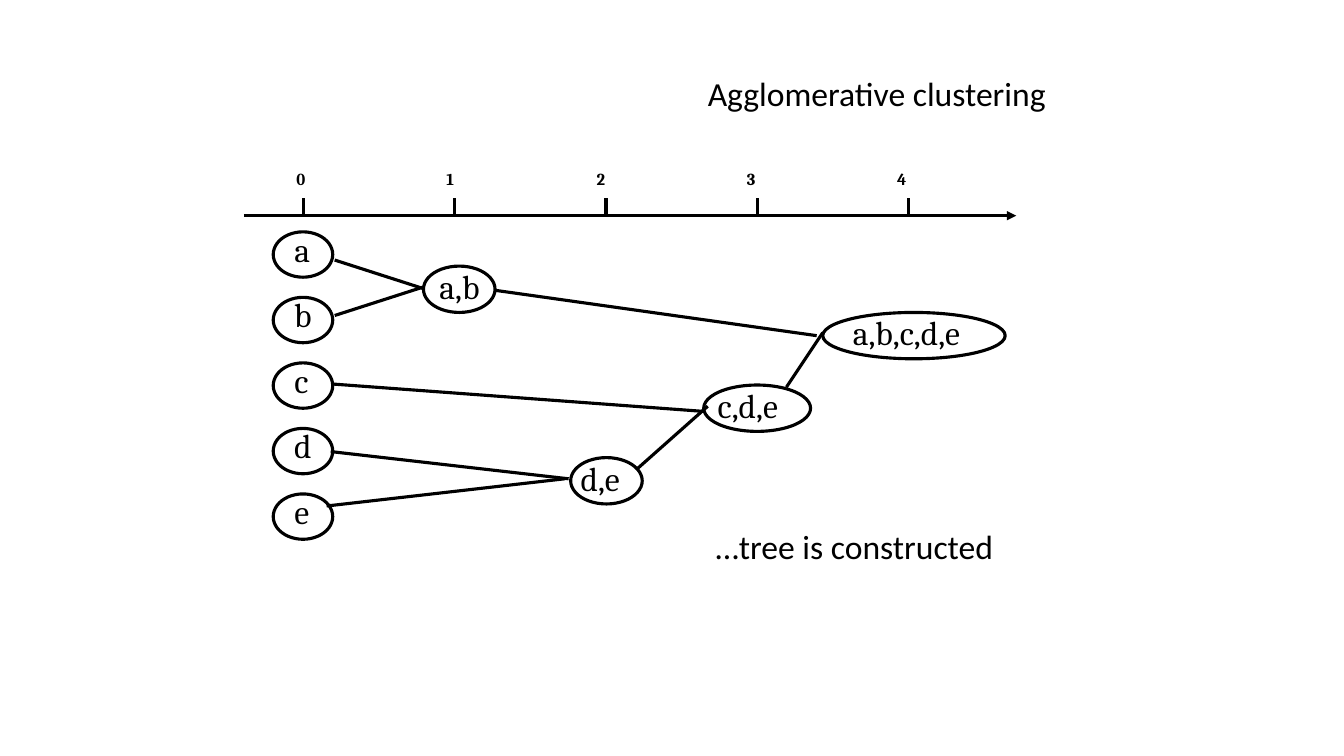
import pptx
import pptx.dml.color
import pptx.enum.shapes
import pptx.enum.text
import pptx.oxml.ns
import pptx.oxml.xmlchemy
import pptx.util
from dataclasses import dataclass


@dataclass(frozen=True)
class Theme:
    ink: pptx.dml.color.RGBColor = pptx.dml.color.RGBColor(0, 0, 0)
    tree_font: str = "Cambria"
    caption_font: str = "Calibri"
    text_size: int = 24
    step_size: int = 12
    line_width: float = 2.25


theme = Theme()
inch = pptx.util.Inches

deck = pptx.Presentation()
deck.slide_width, deck.slide_height = inch(13.33), inch(7.5)
slide = deck.slides.add_slide(deck.slide_layouts[5])  # Title Only


def write(holder, words, font, size, bold=False, wrap=False):
    frame = holder.text_frame
    frame.text = words
    frame.word_wrap = wrap
    frame.auto_size = pptx.enum.text.MSO_AUTO_SIZE.SHAPE_TO_FIT_TEXT
    frame.vertical_anchor = pptx.enum.text.MSO_ANCHOR.TOP
    paragraph = frame.paragraphs[0]
    paragraph.alignment = pptx.enum.text.PP_ALIGN.LEFT
    paragraph.font.name = font
    paragraph.font.size = pptx.util.Pt(size)
    paragraph.font.bold = bold
    paragraph.font.color.rgb = theme.ink


def draw_line(x1, y1, x2, y2):
    line = slide.shapes.add_connector(
        pptx.enum.shapes.MSO_CONNECTOR.STRAIGHT, inch(x1), inch(y1), inch(x2), inch(y2))
    line.line.color.rgb = theme.ink
    line.line.width = pptx.util.Pt(theme.line_width)
    line._element.spPr.append(pptx.oxml.xmlchemy.OxmlElement("a:effectLst"))
    return line


# Clusters: members, left, top, width, height, label left, label top, label width, wrap
leaf_top, leaf_gap = 2.3, 0.65
level_top, level_gap = 3.1, 0.72
clusters = [
    (name, 2.71, leaf_top + row * leaf_gap, 0.59, 0.45, 2.82,
     leaf_top + row * leaf_gap - 0.08, 0.37 if name in "bd" else 0.35, False)
    for row, name in enumerate("abcde")
]
for members, left, top, width, label_left, label_width, wrap in [
    ("a,b", 4.2, 2.64, 0.71, 4.26, 1.18, True),
    ("d,e", 5.66, level_top + 2 * level_gap, 0.71, 5.66, 0.6, False),
    ("c,d,e", 6.98, level_top + level_gap, 1.06, 7.02, 1.18, True),
    ("a,b,c,d,e", 8.16, level_top, 1.81, 8.36, 1.89, True),
]:
    clusters.append((members, left, top, width, 0.46, label_left, top - 0.05, label_width, wrap))

for members, left, top, width, height, label_left, label_top, label_width, wrap in clusters:
    node = slide.shapes.add_shape(
        pptx.enum.shapes.MSO_SHAPE.OVAL, inch(left), inch(top), inch(width), inch(height))
    node.shadow.inherit = False
    node.fill.background()
    node.line.color.rgb = theme.ink
    node.line.width = pptx.util.Pt(theme.line_width)
    label = slide.shapes.add_textbox(
        inch(label_left), inch(label_top), inch(label_width), inch(0.5))
    write(label, members, theme.tree_font, theme.text_size, wrap=wrap)

# Step axis
axis_y, tick_height = 2.14, 0.18
axis = draw_line(2.42, axis_y, 10.08, axis_y)
arrowhead = pptx.oxml.xmlchemy.OxmlElement("a:tailEnd")
arrowhead.set("type", "triangle")
axis._element.spPr.find(pptx.oxml.ns.qn("a:ln")).append(arrowhead)
for step in range(5):
    tick_x = 3.01 + 1.5 * step
    draw_line(tick_x, axis_y, tick_x, axis_y - tick_height)
    step_label = slide.shapes.add_textbox(
        inch(2.84 + 1.49 * step), inch(1.62), inch(0.28), inch(0.3))
    write(step_label, str(step), theme.tree_font, theme.step_size, bold=True)

# Merges
for branch in [
    (3.32, 2.58, 4.19, 2.86),  # a to a,b
    (3.32, 3.13, 4.19, 2.85),  # b to a,b
    (3.28, 4.48, 5.64, 4.75),  # d to d,e
    (3.24, 5.02, 5.6, 4.75),   # e to d,e
    (6.31, 4.66, 7.02, 4.03),  # d,e to c,d,e
    (3.3, 3.81, 6.96, 4.08),   # c to c,d,e
    (7.8, 3.84, 8.16, 3.3),    # c,d,e to a,b,c,d,e
    (4.91, 2.88, 8.1, 3.33),   # a,b to a,b,c,d,e
]:
    draw_line(*branch)

# Captions
title = slide.shapes.title
title.left, title.top, title.width, title.height = inch(6.92), inch(0.67), inch(3.56), inch(0.5)
write(title, "Agglomerative clustering", theme.caption_font, theme.text_size)
conclusion = slide.shapes.add_textbox(inch(7), inch(5.17), inch(2.98), inch(0.5))
write(conclusion, "…tree is constructed", theme.caption_font, theme.text_size)

deck.save("out.pptx")
